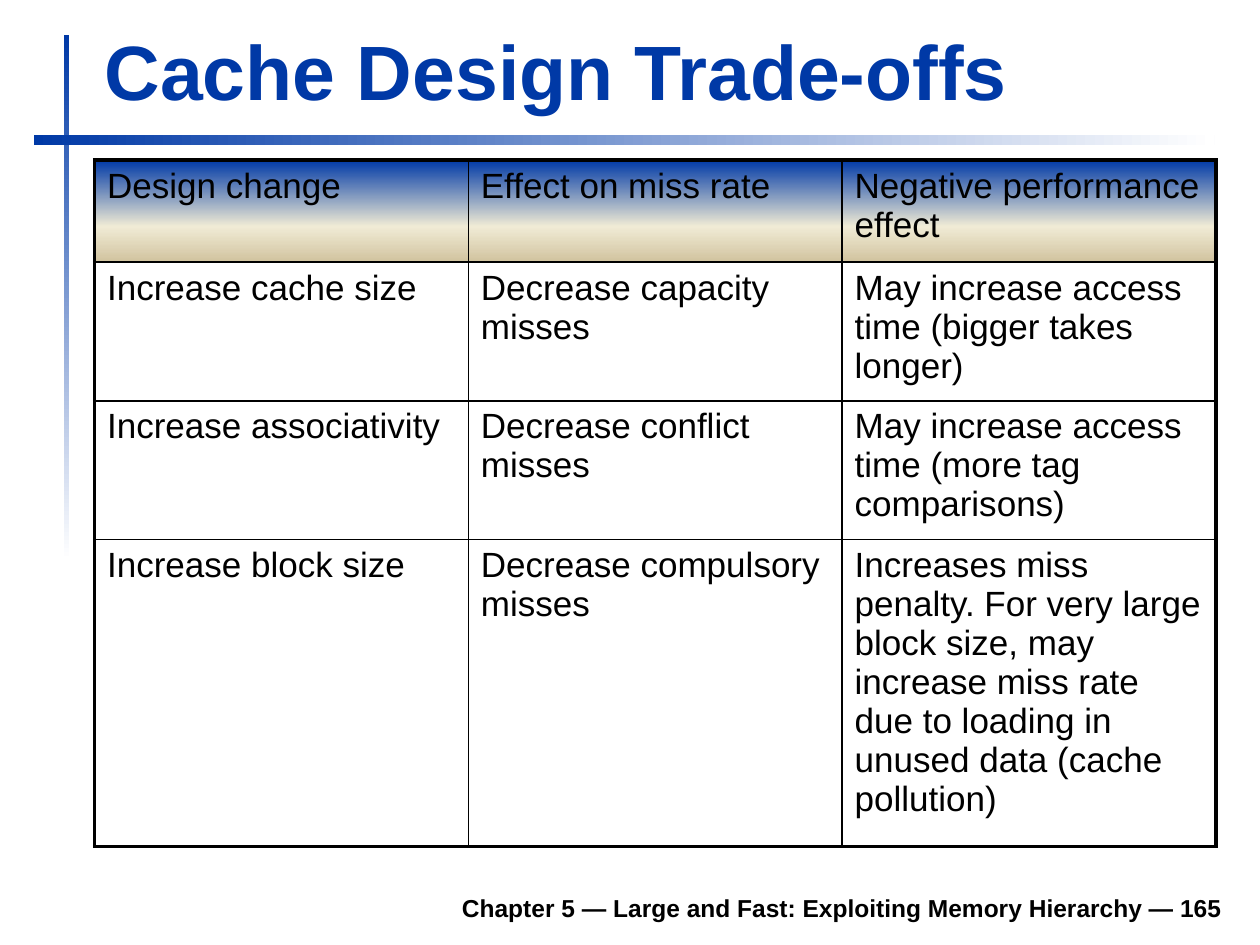
from lxml.etree import SubElement
from pptx import Presentation
from pptx.dml.color import RGBColor
from pptx.enum.shapes import MSO_SHAPE as Preset
from pptx.enum.text import MSO_ANCHOR as Anchor, PP_ALIGN as Align
from pptx.oxml.ns import qn
from pptx.util import Inches, Pt

BLUE = RGBColor(0x00, 0x39, 0xA6)
WHITE = RGBColor(0xFF, 0xFF, 0xFF)
BLACK = RGBColor(0x00, 0x00, 0x00)
CREAM = RGBColor(0xF0, 0xEB, 0xD5)
SAND = RGBColor(0xD1, 0xC3, 0x9F)

ACROSS, DOWN = 0, 270
FADE = [(0, BLUE), (100, WHITE)]
HEADER_FADE = [(0, BLUE), (65, CREAM), (100, SAND)]
THIN, MEDIUM, THICK = 1, 1.5, 2.25

ROWS = [
    ("Design change", "Effect on miss rate", "Negative performance effect"),
    ("Increase cache size", "Decrease capacity misses",
     "May increase access time (bigger takes longer)"),
    ("Increase associativity", "Decrease conflict misses",
     "May increase access time (more tag comparisons)"),
    ("Increase block size", "Decrease compulsory misses",
     "Increases miss penalty. For very large block size, may increase miss rate "
     "due to loading in unused data (cache pollution)"),
]
ROW_HEIGHTS = [0.81, 0.79, 0.79, 2.43]


def add_color(parent, color):
    """Append an RGB colour element."""
    SubElement(parent, qn("a:srgbClr"), val=str(color))


def fill_gradient(fill, properties, stops, angle):
    """Give a shape or cell a linear gradient with the given stops."""
    fill.gradient()
    fill.gradient_angle = angle
    stop_list = properties.find(qn("a:gradFill")).find(qn("a:gsLst"))
    for stop in list(stop_list):
        stop_list.remove(stop)
    for percent, color in stops:
        add_color(SubElement(stop_list, qn("a:gs"), pos=str(percent * 1000)), color)


def format_text(frame, size, color, bold, align=Align.LEFT):
    """Set the font and alignment of a one-paragraph text."""
    para = frame.paragraphs[0]
    para.alignment = align
    for span in para.runs:
        font = span.font
        font.name, font.size, font.bold = "Arial", Pt(size), bold
        font.color.rgb = color


def add_rule(page, box, angle):
    """Draw one fading bar."""
    bar = page.shapes.add_shape(Preset.RECTANGLE, *map(Inches, box))
    bar.shadow.inherit = False
    bar.line.fill.background()
    fill_gradient(bar.fill, bar._element.spPr, FADE, angle)


def place_title(page, box):
    """Fill and position the title placeholder."""
    title = page.shapes.title
    title.left, title.top, title.width, title.height = map(Inches, box)
    frame = title.text_frame
    frame.text = "Cache Design Trade-offs"
    frame.vertical_anchor = Anchor.BOTTOM
    format_text(frame, 44, BLUE, True)


def add_footer(page, box):
    """Write the chapter line at the bottom right."""
    frame = page.shapes.add_textbox(*map(Inches, box)).text_frame
    frame.word_wrap = True
    frame.vertical_anchor = Anchor.BOTTOM
    frame.text = "Chapter 5 — Large and Fast: Exploiting Memory Hierarchy — 165"
    format_text(frame, 14, BLACK, True, Align.RIGHT)


def set_borders(cell, widths):
    """Draw black cell borders, given as left, right, top and bottom points."""
    properties = cell._tc.get_or_add_tcPr()
    for side, width in zip("LRTB", widths):
        line = SubElement(properties, qn(f"a:ln{side}"), w=str(Pt(width)))
        add_color(SubElement(line, qn("a:solidFill")), BLACK)


def add_tradeoff_table(page, box):
    """Build the table with a thick frame and a gradient header."""
    last_row, last_col = len(ROWS) - 1, len(ROWS[0]) - 1
    table = page.shapes.add_table(len(ROWS), len(ROWS[0]), *map(Inches, box)).table
    table.first_row = table.horz_banding = False
    for row, height in zip(table.rows, ROW_HEIGHTS):
        row.height = Inches(height)
    row_lines = [THICK, MEDIUM] + [THIN] * (last_row - 1) + [THICK]
    col_lines = [THICK] + [THIN] * last_col + [THICK]
    for r, texts in enumerate(ROWS):
        for c, text in enumerate(texts):
            cell = table.cell(r, c)
            cell.text = text
            format_text(cell.text_frame, 20, BLACK, False)
            set_borders(cell, col_lines[c:c + 2] + row_lines[r:r + 2])
            if r == 0:
                fill_gradient(cell.fill, cell._tc.tcPr, HEADER_FADE, DOWN)
            else:
                cell.fill.background()


def main():
    """Build and save the deck."""
    deck = Presentation()
    deck.slide_width, deck.slide_height = Inches(10), Inches(7.5)
    page = deck.slides.add_slide(deck.slide_layouts[5])
    add_rule(page, (0.51, 0.28, 0.04, 4.17), DOWN)
    add_rule(page, (0.27, 1.07, 9.37, 0.08), ACROSS)
    add_footer(page, (1.85, 6.98, 7.95, 0.39))
    place_title(page, (0.73, 0.13, 8.52, 0.84))
    add_tradeoff_table(page, (0.75, 1.27, 8.9, sum(ROW_HEIGHTS)))
    deck.save("out.pptx")


if __name__ == "__main__":
    main()
